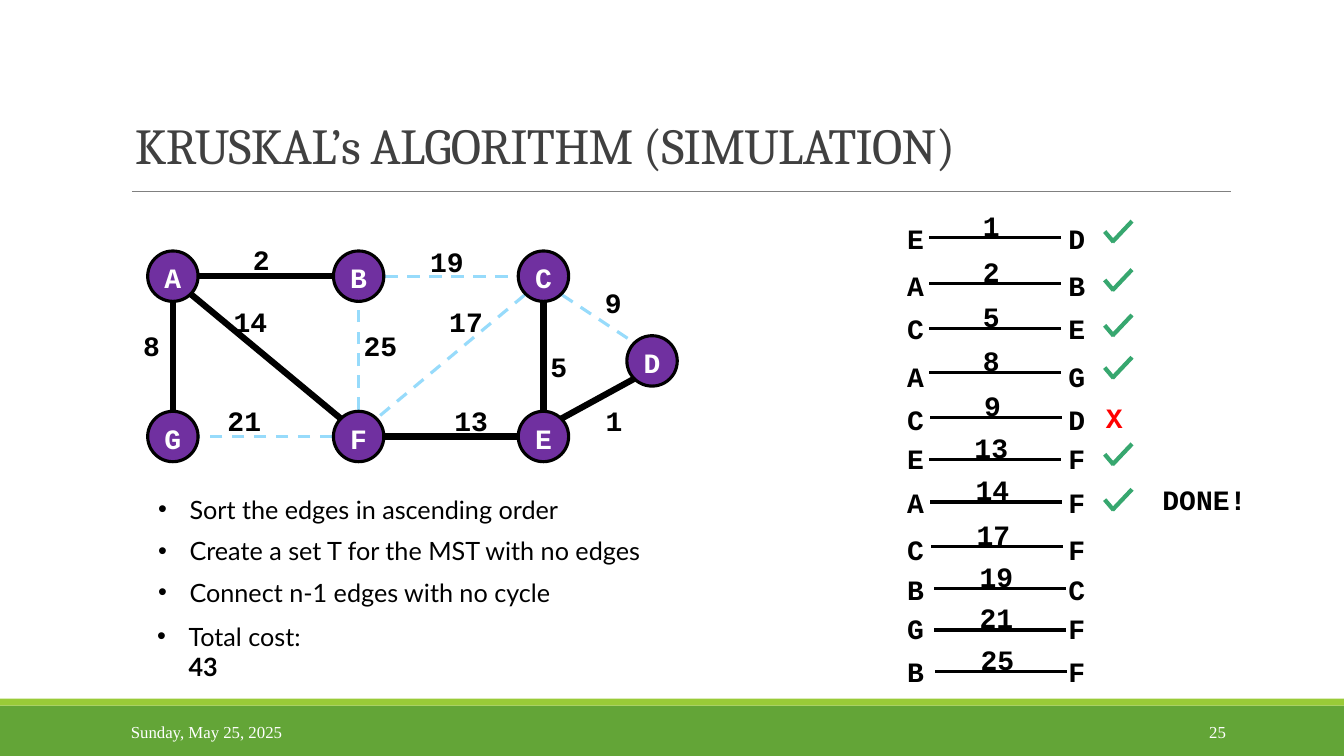
from dataclasses import dataclass
from math import sqrt

from lxml.etree import SubElement
from pptx import Presentation
from pptx.dml.color import RGBColor
from pptx.enum.dml import MSO_LINE
from pptx.enum.shapes import MSO_CONNECTOR, MSO_SHAPE
from pptx.enum.text import MSO_ANCHOR, MSO_AUTO_SIZE, PP_ALIGN
from pptx.oxml.ns import qn
from pptx.util import Pt


@dataclass(frozen=True)
class Theme:
    black: str = "000000"
    white: str = "FFFFFF"
    title: str = "404040"
    rule: str = "808080"
    node: str = "7030A0"
    unused_edge: str = "97DBFB"
    accepted: str = "37A76F"
    rejected: str = "FF0000"
    footer: str = "63A537"
    footer_stripe: str = "99CB38"
    title_font: str = "Cambria"
    body_font: str = "Lato"
    label_font: str = "Courier New"
    footer_font: str = "Times New Roman"
    title_size: float = 36
    label_size: float = 20
    body_size: float = 18
    footer_size: float = 12


THEME = Theme()
RADIUS = 18

# Graph: vertex centres, and edges as (ends, weight, weight centre, in tree)
COLUMNS, ROWS = (123.5, 256.2, 388.2), (197.3, 311.8)
VERTICES = {
    "A": (COLUMNS[0], ROWS[0]), "B": (COLUMNS[1], ROWS[0]), "C": (COLUMNS[2], ROWS[0]),
    "G": (COLUMNS[0], ROWS[1]), "F": (COLUMNS[1], ROWS[1]), "E": (COLUMNS[2], ROWS[1]),
    "D": (465.8, 257.8),
}
EDGES = [
    ("BC", 19, (319.3, 186.8), False), ("CF", 17, (333, 230), False),
    ("FG", 21, (174.6, 300.6), False), ("FB", 25, (271.8, 246.6), False),
    ("CD", 9, (438.1, 216.4), False), ("AB", 2, (186.8, 185.4), True),
    ("AG", 8, (108.4, 246.6), True), ("AF", 14, (178.9, 230), True),
    ("CE", 5, (399.2, 261.7), True), ("EF", 13, (336.6, 300.6), True),
    ("ED", 1, (438.8, 300.6), True),
]

# Sorted edges: ends, weight, line left, line y, letter y, tick y
SORTED_EDGES = [
    ("ED", 1, 663.8, 169.9, 170.2, 172.8), ("AB", 2, 663.8, 202.3, 203.8, 207.4),
    ("CE", 5, 663.8, 234.7, 235, 239.8), ("AG", 8, 663.8, 266.4, 269, 270),
    ("CD", 9, 664.6, 298.1, 299.8, None), ("EF", 13, 663.8, 328.3, 327.6, 331.9),
    ("AF", 14, 664.6, 358.6, 359, 364.3), ("CF", 17, 665.3, 390.2, 392.8, None),
    ("BC", 19, 667.4, 420.5, 421.2, None), ("GF", 21, 667.4, 450, 449.3, None),
    ("BF", 25, 668.2, 479.5, 479.5, None),
]

STEPS = [
    (105.8, 349.2, 400, [("Sort the edges in ascending order", False)]),
    (105.8, 378.7, 400, [("Create a set T for the MST with no edges", False)]),
    (105.8, 408.6, 400, [("Connect n-1 edges with no cycle", False)]),
    (105.1, 440, 130, [("Total cost: ", False), ("43", True)]),
]


def write(frame, text, *, size, font, color, bold=False, align=PP_ALIGN.LEFT):
    """Write text, or (text, bold) parts, as one paragraph."""
    paragraph = frame.paragraphs[0]
    paragraph.alignment = align
    parts = [(text, bold)] if isinstance(text, str) else text
    for words, is_bold in parts:
        run = paragraph.add_run()
        run.text = words
        run.font.size = Pt(size)
        run.font.name = font
        run.font.bold = is_bold
        run.font.color.rgb = RGBColor.from_string(color)
    return paragraph


def add_text(slide, text, left, top, width, height, *, wrap=True,
             anchor=MSO_ANCHOR.TOP, **style):
    box = slide.shapes.add_textbox(Pt(left), Pt(top), Pt(width), Pt(height))
    frame = box.text_frame
    frame.word_wrap = wrap
    frame.vertical_anchor = anchor
    if not wrap:
        frame.auto_size = MSO_AUTO_SIZE.SHAPE_TO_FIT_TEXT
    return write(frame, text, **style)


def add_label(slide, text, x, y, color=THEME.black):
    """Bold monospaced label centred on a point."""
    width, height = 14.4 + 12 * len(text), 31.6
    add_text(slide, text, x - width / 2, y - height / 2, width, height, wrap=False,
             size=THEME.label_size, font=THEME.label_font, color=color, bold=True)


def add_bullet(slide, text, left, top, width):
    paragraph = add_text(slide, text, left, top, width, 29, size=THEME.body_size,
                         font=THEME.body_font, color=THEME.black)
    properties = paragraph._p.get_or_add_pPr()
    properties.set("marL", str(Pt(22.5)))
    properties.set("indent", str(-Pt(22.5)))
    SubElement(properties, qn("a:buFont"), typeface="Arial")
    SubElement(properties, qn("a:buChar"), char="•")


def add_line(slide, start, end, color, width, dashed=False):
    line = slide.shapes.add_connector(MSO_CONNECTOR.STRAIGHT, *map(Pt, start + end))
    line.line.color.rgb = RGBColor.from_string(color)
    line.line.width = Pt(width)
    if dashed:
        line.line.dash_style = MSO_LINE.DASH
    SubElement(line._element.spPr, qn("a:effectLst"))


def add_filled(slide, kind, left, top, width, height, fill):
    shape = slide.shapes.add_shape(kind, Pt(left), Pt(top), Pt(width), Pt(height))
    shape.shadow.inherit = False
    shape.fill.solid()
    shape.fill.fore_color.rgb = RGBColor.from_string(fill)
    shape.line.fill.background()
    return shape


def add_vertex(slide, letter, x, y):
    vertex = add_filled(slide, MSO_SHAPE.OVAL, x - RADIUS, y - RADIUS,
                        2 * RADIUS, 2 * RADIUS, THEME.node)
    vertex.line.color.rgb = RGBColor.from_string(THEME.black)
    vertex.line.width = Pt(2.25)
    frame = vertex.text_frame
    frame.margin_left = frame.margin_right = frame.margin_bottom = 0
    frame.margin_top = Pt(2)
    frame.word_wrap = False
    frame.vertical_anchor = MSO_ANCHOR.MIDDLE
    write(frame, letter, size=THEME.label_size, font=THEME.label_font,
          color=THEME.white, bold=True, align=PP_ALIGN.CENTER)


def add_edge(slide, ends, in_tree):
    """Join two vertices at the nearest of the eight points on their rims."""
    (x1, y1), (x2, y2) = (VERTICES[end] for end in ends)
    step_x, step_y = (x2 > x1) - (x2 < x1), (y2 > y1) - (y2 < y1)
    reach = (RADIUS if in_tree else RADIUS + 1) / sqrt(abs(step_x) + abs(step_y))
    dx, dy = step_x * reach, step_y * reach
    color, width = (THEME.black, 4.5) if in_tree else (THEME.unused_edge, 2.25)
    add_line(slide, (x1 + dx, y1 + dy), (x2 - dx, y2 - dy), color, width, not in_tree)


def add_tick(slide, y):
    add_line(slide, (789.1, y - 7.4), (795.4, y), THEME.accepted, 3)
    add_line(slide, (794.6, y), (808.6, y - 14.8), THEME.accepted, 3)


def add_sorted_edge(slide, ends, weight, left, line_y, letter_y, tick_y):
    add_line(slide, (left, line_y), (left + 94, line_y), THEME.black, 2.25)
    add_label(slide, str(weight), left + 44.4, line_y - 8.6)
    for letter, x in zip(ends, (654.1, 769.3)):
        add_label(slide, letter, x, letter_y)
    if tick_y:
        add_tick(slide, tick_y)


def main():
    deck = Presentation()
    deck.slide_width, deck.slide_height = Pt(960), Pt(540)
    slide = deck.slides.add_slide(deck.slide_layouts[6])

    # Footer band, title and rule
    add_filled(slide, MSO_SHAPE.RECTANGLE, 0, 504, 960, 36, THEME.footer)
    add_filled(slide, MSO_SHAPE.RECTANGLE, 0, 499, 960, 5, THEME.footer_stripe)
    add_line(slide, (94.3, 136.8), (879.1, 136.8), THEME.rule, 0.5)
    title = add_text(slide, "KRUSKAL’s ALGORITHM (SIMULATION)", 89.3, 13.7, 825, 114.5,
                     anchor=MSO_ANCHOR.BOTTOM, size=THEME.title_size,
                     font=THEME.title_font, color=THEME.title)
    title.line_spacing = 0.85
    title.runs[0].font._element.set("spc", "-50")
    for text, left, width, align in (("Sunday, May 25, 2025", 86.4, 194.4, PP_ALIGN.LEFT),
                                     ("25", 779.8, 103, PP_ALIGN.RIGHT)):
        add_text(slide, text, left, 508.3, width, 28.8, anchor=MSO_ANCHOR.MIDDLE,
                 size=THEME.footer_size, font=THEME.footer_font, color=THEME.white,
                 align=align)

    # Graph
    for ends, weight, place, in_tree in EDGES:
        add_edge(slide, ends, in_tree)
        add_label(slide, str(weight), *place)
    for letter, centre in VERTICES.items():
        add_vertex(slide, letter, *centre)

    # Steps of the algorithm
    for left, top, width, text in STEPS:
        add_bullet(slide, text, left, top, width)

    # Sorted edges with verdicts
    for row in SORTED_EDGES:
        add_sorted_edge(slide, *row)
    add_label(slide, "X", 796, 298.1, THEME.rejected)
    add_label(slide, "DONE!", 860.4, 357.1)

    deck.save("out.pptx")


if __name__ == "__main__":
    main()
